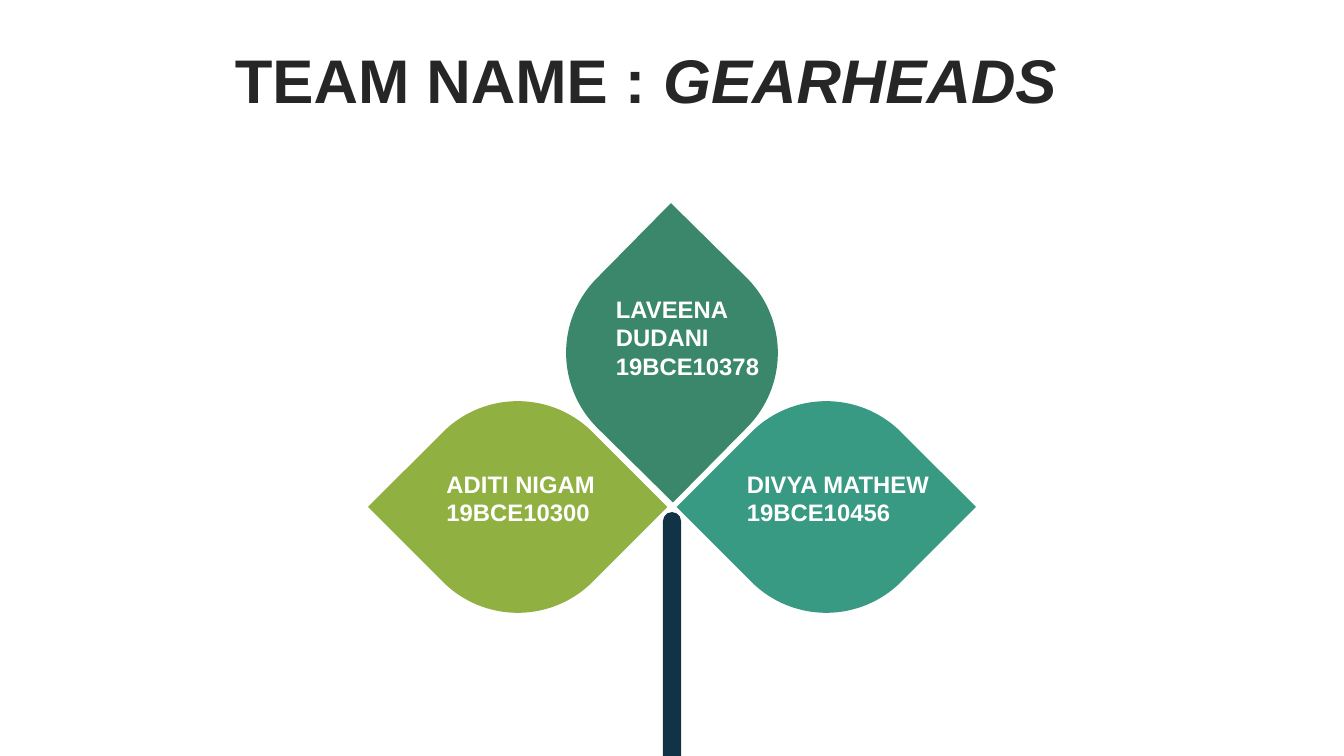
from dataclasses import dataclass

from pptx import Presentation
from pptx.dml.color import RGBColor
from pptx.enum.shapes import MSO_SHAPE as Shape
from pptx.enum.text import MSO_ANCHOR as Anchor, MSO_AUTO_SIZE as AutoSize, PP_ALIGN as Align
from pptx.util import Inches, Pt

TITLE = [("TEAM NAME : ", False), ("GEARHEADS", True)]
MEMBERS = [
    {"lines": ["LAVEENA DUDANI", "19BCE10378"], "color": "3A876B",
     "direction": (0, -1), "turn": 314.6, "label": (6.01, 2.87, 1.81, 0.95)},
    {"lines": ["DIVYA MATHEW", "19BCE10456"], "color": "399A84",
     "direction": (1, 0), "turn": 45, "label": (7.31, 4.61, 2.1, 0.67)},
    {"lines": ["ADITI NIGAM", "19BCE10300"], "color": "90B141",
     "direction": (-1, 0), "turn": 45, "label": (4.33, 4.61, 1.81, 0.67)},
]


@dataclass(frozen=True)
class Theme:
    font: str = "Arial"
    title_size: int = 44
    label_size: int = 17
    title_color: str = "262626"
    label_color: str = "FFFFFF"
    stem_color: str = "123246"


THEME = Theme()
WIDTH, HEIGHT = 13.33, 7.5
HUB_X, HUB_Y = WIDTH / 2, 5.03
LEAF_SIDE, LEAF_REACH = 2.1, 1.53
STEM_WIDTH, STEM_TOP = 0.18, 5.08
TITLE_BOX = (0.35, 0.37, 12.66, 0.79)
TITLE_INDENT = 1.98


def inches(*lengths):
    return [Inches(length) for length in lengths]


def style(para, size, color):
    para.font.name = THEME.font
    para.font.size = Pt(size)
    para.font.bold = True
    para.font.color.rgb = RGBColor.from_string(color)


def add_plain_shape(page, kind, box, color):
    shape = page.shapes.add_shape(kind, *inches(*box))
    shape.shadow.inherit = False
    shape.fill.solid()
    shape.fill.fore_color.rgb = RGBColor.from_string(color)
    shape.line.fill.background()
    return shape


def add_title(page):
    title = page.shapes.title
    title.left, title.top, title.width, title.height = inches(*TITLE_BOX)
    frame = title.text_frame
    frame.auto_size = AutoSize.NONE
    frame.vertical_anchor = Anchor.BOTTOM
    frame.margin_left = Inches(TITLE_INDENT)
    frame.margin_bottom = 0
    para = frame.paragraphs[0]
    para.alignment = Align.LEFT
    para.line_spacing = 0.9
    style(para, THEME.title_size, THEME.title_color)
    for text, italic in TITLE:
        span = para.add_run()
        span.text = text
        span.font.italic = italic


def add_leaf(page, member):
    across, down = member["direction"]
    left = HUB_X + across * LEAF_REACH - LEAF_SIDE / 2
    top = HUB_Y + down * LEAF_REACH - LEAF_SIDE / 2
    leaf = add_plain_shape(page, Shape.ROUND_2_DIAG_RECTANGLE,
                           (left, top, LEAF_SIDE, LEAF_SIDE), member["color"])
    leaf.adjustments[0] = 0.5
    leaf.rotation = member["turn"]


def add_stem(page):
    box = (HUB_X - STEM_WIDTH / 2, STEM_TOP, STEM_WIDTH, HEIGHT - STEM_TOP)
    stem = add_plain_shape(page, Shape.ROUND_2_SAME_RECTANGLE, box, THEME.stem_color)
    stem.adjustments[0] = 0.5


def add_label(page, member):
    frame = page.shapes.add_textbox(*inches(*member["label"])).text_frame
    frame.word_wrap = True
    frame.text = "\n".join(member["lines"])
    for para in frame.paragraphs:
        style(para, THEME.label_size, THEME.label_color)


def main():
    deck = Presentation()
    deck.slide_width, deck.slide_height = inches(WIDTH, HEIGHT)
    page = deck.slides.add_slide(deck.slide_layouts.get_by_name("Title Only"))
    add_title(page)
    for member in MEMBERS:
        add_leaf(page, member)
    add_stem(page)
    for member in MEMBERS:
        add_label(page, member)
    deck.save("out.pptx")


if __name__ == "__main__":
    main()
